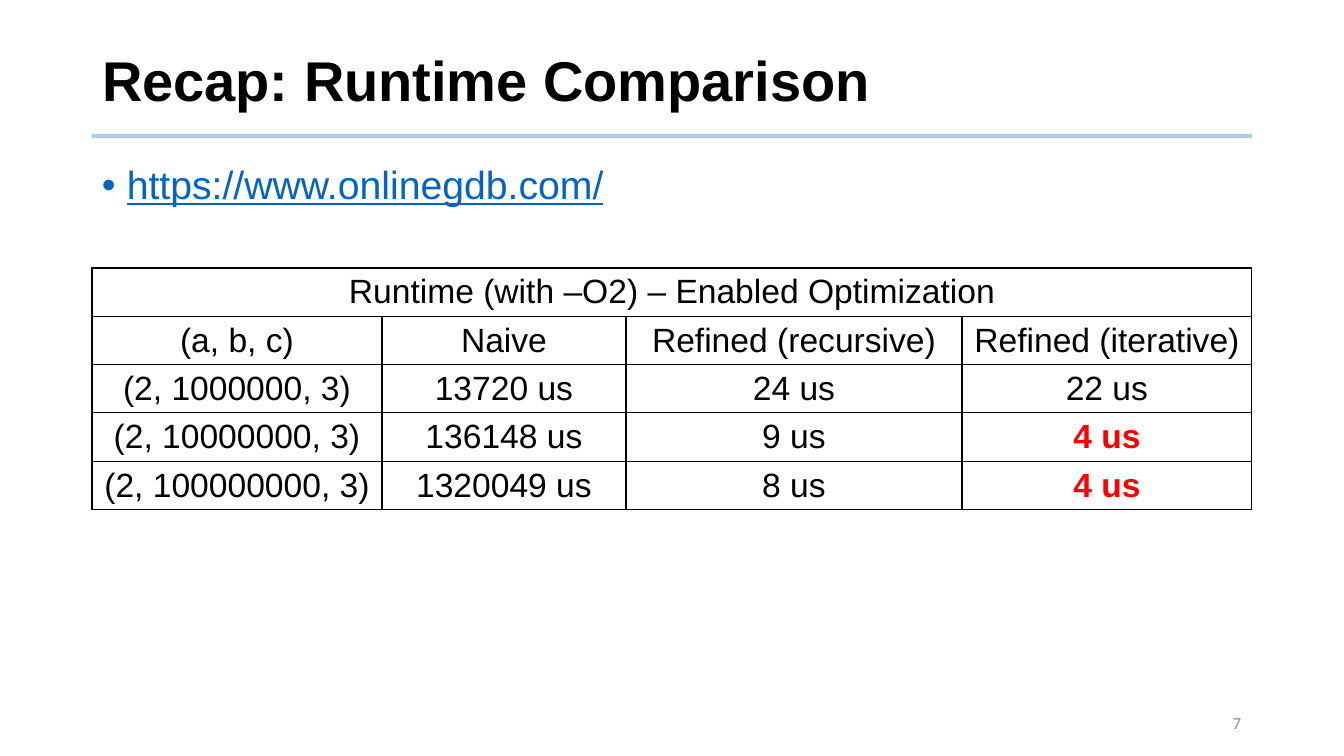
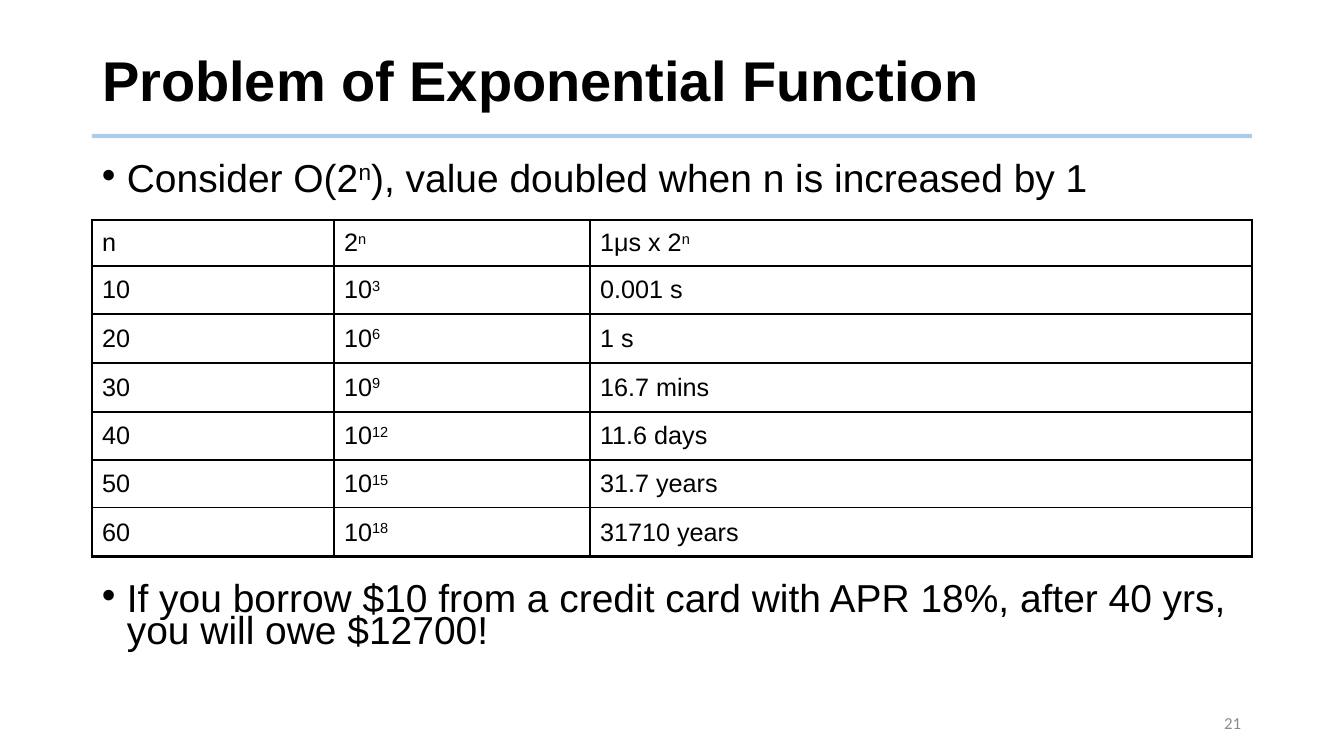
from lxml.etree import SubElement
from pptx import Presentation
from pptx.dml.color import RGBColor
from pptx.enum.shapes import MSO_CONNECTOR as Connector
from pptx.enum.text import MSO_ANCHOR as Anchor, MSO_AUTO_SIZE as AutoSize, PP_ALIGN as Align
from pptx.oxml.ns import qn
from pptx.util import Pt

WIDTH, HEIGHT = 1344, 756
SCALE = 12192000 / WIDTH
LEFT, CONTENT_WIDTH = 92, 1160
COLORS = {"text": "000000", "rule": "5B9BD5", "link": "0563C1", "number": "8C8C8C", "alert": "FF0000"}
THIN, THICK = 1, 2.25


def px(length):
    return round(length * SCALE)


def rgb(name):
    return RGBColor.from_string(COLORS[name])


def apply(target, values):
    for name, value in values.items():
        setattr(target, name, value)


def divide(total, count):
    edges = [round(total * i / count) for i in range(count + 1)]
    return [end - start for start, end in zip(edges, edges[1:])]


class Deck:
    def __init__(self):
        self.prs = Presentation()
        apply(self.prs, {"slide_width": px(WIDTH), "slide_height": px(HEIGHT)})
        self.slide = None

    def start(self, title, number):
        self.slide = self.prs.slides.add_slide(self.prs.slide_layouts[5])
        self.rule(136)
        self.title(title)
        self.number(number)

    def add_text(self, paragraph, text, size, color="text", font="Arial", **extra):
        for i, part in enumerate(text.split("^")):
            run = paragraph.add_run()
            run.text = part
            apply(run.font, {"name": font, "size": Pt(size), **extra})
            run.font.color.rgb = rgb(color)
            if i % 2:
                run._r.get_or_add_rPr().set("baseline", "30000")

    def title(self, text):
        heading = self.slide.shapes.title
        apply(heading, {"left": px(LEFT), "top": px(28), "width": px(CONTENT_WIDTH), "height": px(111)})
        apply(heading.text_frame, {"vertical_anchor": Anchor.MIDDLE, "word_wrap": True, "auto_size": AutoSize.NONE})
        paragraph = heading.text_frame.paragraphs[0]
        apply(paragraph, {"alignment": Align.LEFT, "line_spacing": 0.9})
        self.add_text(paragraph, text, 40, bold=True)

    def rule(self, y):
        rule = self.slide.shapes.add_connector(
            Connector.STRAIGHT, px(LEFT), px(y), px(LEFT + CONTENT_WIDTH), px(y))
        rule.line.width = Pt(3)
        rule.line.color.rgb = rgb("rule")
        tint = next(rule._element.spPr.iter(qn("a:srgbClr")))
        SubElement(tint, qn("a:alpha"), val="50000")
        SubElement(rule._element.spPr, qn("a:effectLst"))

    def text_box(self, left, top, width, height, anchor):
        box = self.slide.shapes.add_textbox(px(left), px(top), px(width), px(height))
        apply(box.text_frame, {"word_wrap": True, "vertical_anchor": anchor})
        return box.text_frame.paragraphs[0]

    def number(self, number):
        paragraph = self.text_box(1016, 703, 235, 40, Anchor.MIDDLE)
        paragraph.alignment = Align.RIGHT
        self.add_text(paragraph, str(number), 12, "number", "Calibri")

    def bullet(self, text, top, height, size=27.8, spacing=0.7, **style):
        paragraph = self.text_box(LEFT, top, CONTENT_WIDTH, height, Anchor.TOP)
        properties = paragraph._p.get_or_add_pPr()
        properties.set("marL", str(px(25)))
        properties.set("indent", str(-px(25)))
        SubElement(properties, qn("a:buFont"), typeface="Arial")
        SubElement(properties, qn("a:buChar"), char="•")
        paragraph.line_spacing = spacing
        self.add_text(paragraph, text, size, **style)

    def borders(self, cell, widths):
        properties = cell._tc.get_or_add_tcPr()
        for side, width in zip("LRTB", widths):
            edge = SubElement(properties, qn(f"a:ln{side}"), w=str(Pt(width)))
            fill = SubElement(edge, qn("a:solidFill"))
            SubElement(fill, qn("a:srgbClr"), val=COLORS["text"])

    def table(self, rows, top, widths, heights, size, align=Align.LEFT, frame=THIN, alerts=()):
        table = self.slide.shapes.add_table(
            len(rows), len(widths), px(LEFT), px(top), px(sum(widths)), px(sum(heights))).table
        apply(table, {"first_row": False, "horz_banding": False})
        for column, width in zip(table.columns, widths):
            column.width = px(width)
        for row, height in zip(table.rows, heights):
            row.height = px(height)
        last_row, last_column = len(rows) - 1, len(widths) - 1
        for r, row in enumerate(rows):
            for c in range(len(widths)):
                cell = table.cell(r, c)
                on_frame = (c == 0, c == last_column, r <= 1, r in (0, last_row))
                self.borders(cell, [frame if outer else THIN for outer in on_frame])
                cell.fill.background()
                apply(cell, {"vertical_anchor": Anchor.MIDDLE, "margin_top": px(4), "margin_bottom": px(4)})
                if c < len(row):
                    paragraph = cell.text_frame.paragraphs[0]
                    paragraph.alignment = align
                    alert = (r, c) in alerts
                    self.add_text(paragraph, row[c], size, "alert" if alert else "text", bold=alert)
            if len(row) == 1:
                table.cell(r, 0).merge(table.cell(r, last_column))


def main():
    deck = Deck()

    deck.start("Recap: Runtime Comparison", 7)
    deck.bullet("https://www.onlinegdb.com/", 161, 60, 28, 0.9, color="link", underline=True)
    runtimes = [
        ["Runtime (with –O2) – Enabled Optimization"],
        ["(a, b, c)", "Naive", "Refined (recursive)", "Refined (iterative)"],
        ["(2, 1000000, 3)", "13720 us", "24 us", "22 us"],
        ["(2, 10000000, 3)", "136148 us", "9 us", "4 us"],
        ["(2, 100000000, 3)", "1320049 us", "8 us", "4 us"],
    ]
    deck.table(runtimes, 268, [290, 244, 336, 290], divide(238, 5), 24,
               Align.CENTER, alerts={(3, 3), (4, 3)})

    deck.start("Problem of Exponential Function", 21)
    deck.bullet("Consider O(2^n^), value doubled when n is increased by 1", 161, 50)
    durations = ["0.001 s", "1 s", "16.7 mins", "11.6 days", "31.7 years", "31710 years"]
    growth = [["n", "2^n^", "1μs x 2^n^"]]
    growth += [[str(10 * i), f"10^{3 * i}^", duration] for i, duration in enumerate(durations, 1)]
    deck.table(growth, 220, [242, 256, 662], [46] + divide(291, 6), 18, frame=THICK)
    deck.bullet("If you borrow $10 from a credit card with APR 18%, after 40 yrs, you will owe $12700!",
                581, 80)

    deck.prs.save("out.pptx")


if __name__ == "__main__":
    main()
